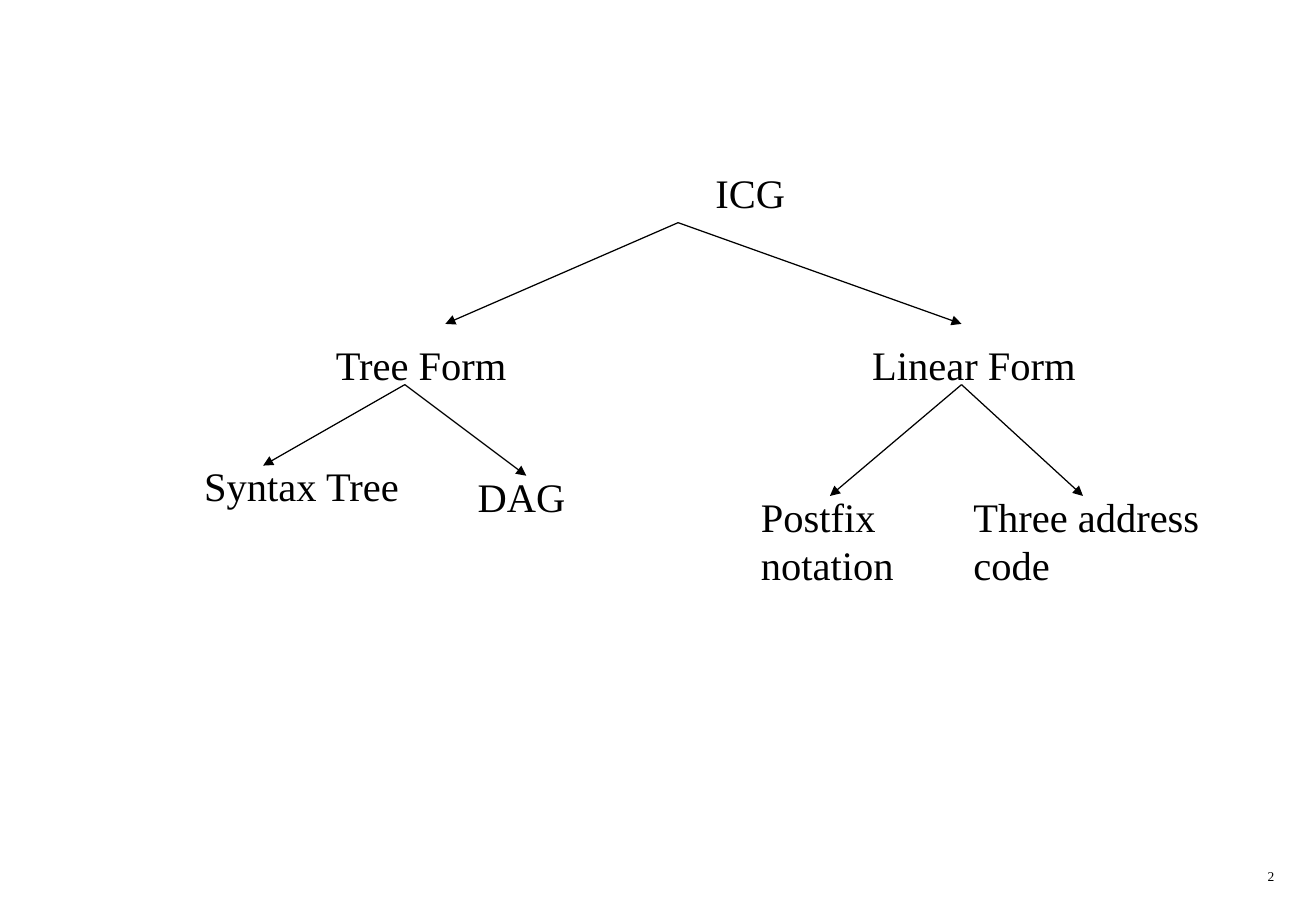
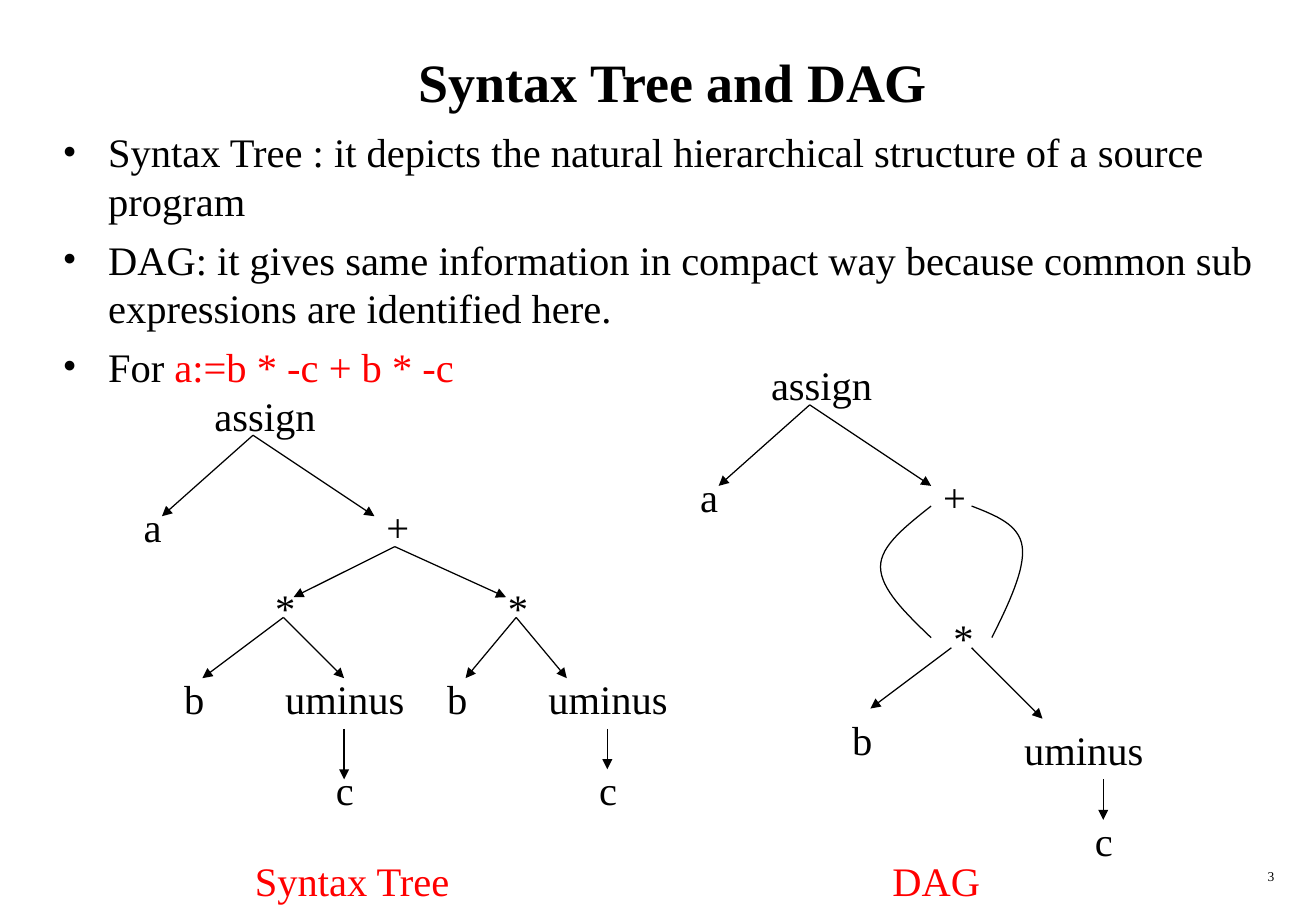
from lxml import etree
from pptx import Presentation
from pptx.dml.color import RGBColor
from pptx.enum.shapes import MSO_CONNECTOR
from pptx.enum.text import MSO_ANCHOR, PP_ALIGN
from pptx.oxml.ns import qn
from pptx.util import Pt

STRAIGHT = MSO_CONNECTOR.STRAIGHT
TOP, MIDDLE = MSO_ANCHOR.TOP, MSO_ANCHOR.MIDDLE
LEFT, CENTER, RIGHT = PP_ALIGN.LEFT, PP_ALIGN.CENTER, PP_ALIGN.RIGHT

FONT = "Times New Roman"
BLACK, RED = "000000", "FF0000"
GRID = 6            # points per grid step of the diagrams
HANGING = 27        # bullet indent in points
CURVE_STEPS = 16

# Diagrams in grid steps: nodes are (text, x, y, width),
# edges are (start, tips), curves are runs of cubic Bezier points
ICG_NODES = [
    ("ICG", 50.5, 0, 14), ("Tree Form", 13, 17, 20), ("Linear Form", 66, 17, 24),
    ("Syntax Tree", 0, 29, 24), ("DAG", 27, 30, 14),
    ("Postfix notation", 55, 32, 16), ("Three address code", 76, 32, 25),
]
ICG_EDGES = [
    ((48, 6), [(25, 16), (76, 16)]),
    ((21, 22), [(7, 30), (33, 31)]),
    ((76, 22), [(63, 33), (88, 33)]),
]

ASSIGN_NODES = [("assign", 7, 0, 13), ("a", 0, 11, 4), ("+", 24, 11, 4)]
ASSIGN_EDGES = [((12, 5), [(3, 13), (24, 13)])]

SYNTAX_NODES = ASSIGN_NODES + [
    ("*", 13, 19, 4), ("b", 4, 28, 4), ("uminus", 14, 28, 16), ("c", 19, 37, 4),
    ("*", 36, 19, 4), ("b", 30, 28, 4), ("uminus", 40, 28, 16), ("c", 45, 37, 4),
]
SYNTAX_EDGES = ASSIGN_EDGES + [
    ((26, 16), [(16, 21), (37, 21)]),
    ((15, 23), [(7, 29), (21, 29)]),
    ((38, 23), [(33, 29), (43, 29)]),
    ((21, 34), [(21, 39)]),
    ((47, 34), [(47, 38)]),
]

DAG_NODES = ASSIGN_NODES + [
    ("*", 25, 25, 4), ("b", 15, 35, 4), ("uminus", 32, 36, 16), ("c", 39, 45, 4),
]
DAG_EDGES = ASSIGN_EDGES + [
    ((26, 29), [(18, 35)]),
    ((28, 29), [(35, 36)]),
    ((41, 42), [(41, 46)]),
]
DAG_CURVES = [
    [(24, 15), (21.5, 17), (19, 18.9), (19, 21), (19, 23.2), (21.5, 25.6), (24, 28)],
    [(28, 15), (30.3, 15.9), (32.7, 16.8), (33, 19), (33.3, 21.2), (31.7, 24.6), (30, 28)],
]

BULLETS = [
    [("Syntax Tree : it depicts the natural hierarchical structure of a source program", BLACK)],
    [("DAG: it gives same information in compact way because common sub "
      "expressions are identified here.", BLACK)],
    [("For ", BLACK), ("a:=b * -c + b * -c", RED)],
]


def rgb(code):
    return RGBColor.from_string(code)


def style(font, size, color=BLACK, bold=False):
    font.name, font.size, font.bold = FONT, Pt(size), bold
    font.color.rgb = rgb(color)


def add_frame(slide, box, anchor=TOP):
    frame = slide.shapes.add_textbox(*(Pt(v) for v in box)).text_frame
    frame.word_wrap = True
    frame.vertical_anchor = anchor
    return frame


def add_label(slide, text, box, size=24, color=BLACK, bold=False, align=LEFT, anchor=TOP):
    paragraph = add_frame(slide, box, anchor).paragraphs[0]
    paragraph.text = text
    paragraph.alignment = align
    style(paragraph.font, size, color, bold)


def add_arrow(slide, start, tip):
    arrow = slide.shapes.add_connector(STRAIGHT, *(Pt(v) for v in start + tip))
    arrow.line.color.rgb = rgb(BLACK)
    arrow.line.width = Pt(0.75)
    line = arrow.line._get_or_add_ln()
    etree.SubElement(line, qn("a:tailEnd"), type="triangle")
    etree.SubElement(arrow._element.spPr, qn("a:effectLst"))


def bezier(p0, p1, p2, p3, t):
    s = 1 - t
    return tuple(s**3 * a + 3 * s * s * t * b + 3 * s * t * t * c + t**3 * d
                 for a, b, c, d in zip(p0, p1, p2, p3))


def add_curve(slide, points):
    outline = [points[0]]
    for i in range(0, len(points) - 1, 3):
        outline += [bezier(*points[i:i + 4], step / CURVE_STEPS)
                    for step in range(1, CURVE_STEPS + 1)]
    outline = [(Pt(x), Pt(y)) for x, y in outline]
    builder = slide.shapes.build_freeform(*outline[0])
    builder.add_line_segments(outline[1:], close=False)
    curve = builder.convert_to_shape()
    curve.shadow.inherit = False
    curve.fill.background()
    curve.line.color.rgb = rgb(BLACK)
    curve.line.width = Pt(0.75)


def add_diagram(slide, left, top, nodes, edges, curves=()):
    def place(point):
        return left + point[0] * GRID, top + point[1] * GRID

    for text, x, y, width in nodes:
        add_label(slide, text, (*place((x, y)), width * GRID, 36))
    for start, tips in edges:
        for tip in tips:
            add_arrow(slide, place(start), place(tip))
    for points in curves:
        add_curve(slide, [place(point) for point in points])


def add_bullets(slide, box, items):
    frame = add_frame(slide, box)
    for index, runs in enumerate(items):
        paragraph = frame.add_paragraph() if index else frame.paragraphs[0]
        if index:
            paragraph.space_before = Pt(6)
        properties = paragraph._p.get_or_add_pPr()
        properties.set("marL", str(Pt(HANGING)))
        properties.set("indent", str(-Pt(HANGING)))
        bullet_color = etree.SubElement(properties, qn("a:buClr"))
        etree.SubElement(bullet_color, qn("a:srgbClr"), val=BLACK)
        etree.SubElement(properties, qn("a:buFont"), typeface=FONT)
        etree.SubElement(properties, qn("a:buChar"), char="•")
        style(paragraph.font, 24)
        for text, color in runs:
            run = paragraph.add_run()
            run.text = text
            if color != BLACK:
                run.font.color.rgb = rgb(color)


def add_numbered_slide(deck, number):
    slide = deck.slides.add_slide(deck.slide_layouts[6])
    add_label(slide, str(number), (600, 510.8, 162.5, 18), size=8, align=RIGHT)
    return slide


def icg_slide(deck):
    slide = add_numbered_slide(deck, 2)
    add_diagram(slide, 114, 96, ICG_NODES, ICG_EDGES)


def syntax_tree_slide(deck):
    slide = add_numbered_slide(deck, 3)
    add_label(slide, "Syntax Tree and DAG", (30, 12, 738, 72),
              size=32, bold=True, align=CENTER, anchor=MIDDLE)
    add_bullets(slide, (30, 72, 738, 468), BULLETS)
    # The two diagrams and their captions
    add_diagram(slide, 78, 228, SYNTAX_NODES, SYNTAX_EDGES)
    add_diagram(slide, 408, 210, DAG_NODES, DAG_EDGES, DAG_CURVES)
    add_label(slide, "Syntax Tree", (144, 504, 168, 36), color=RED)
    add_label(slide, "DAG", (522, 504, 78, 36), color=RED)


def main():
    deck = Presentation()
    deck.slide_width, deck.slide_height = Pt(780.13), Pt(540)
    icg_slide(deck)
    syntax_tree_slide(deck)
    deck.save("out.pptx")


if __name__ == "__main__":
    main()
